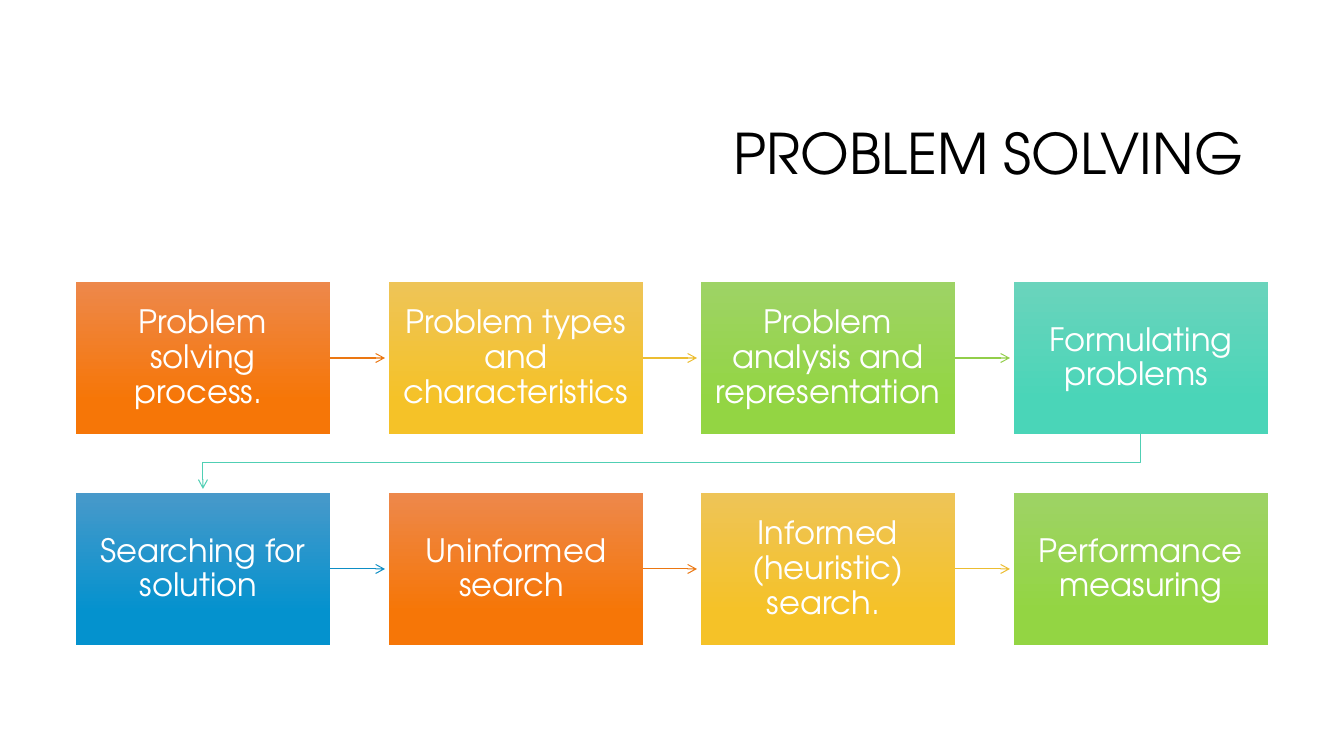
from dataclasses import dataclass
from pptx import Presentation
from pptx.dml.color import RGBColor as RGB
from pptx.enum.shapes import MSO_CONNECTOR as LINK, MSO_SHAPE as SHAPE
from pptx.enum.text import MSO_ANCHOR as ANCHOR, MSO_AUTO_SIZE as FIT, PP_ALIGN as ALIGN
from pptx.oxml.ns import qn
from pptx.util import Pt
from lxml.etree import SubElement as sub

PX = 914400 / 100.8


@dataclass(frozen=True)
class Theme:
    font: str = "TeX Gyre Adventor"
    ink: str = "000000"
    paper: str = "FFFFFF"
    head: int = 40
    body: int = 23
    rule: float = 0.75
    # Gradient top, gradient bottom, arrow
    hues: tuple = (
        ("ED884B", "F67607", "EB7712"),
        ("EEC457", "F5C228", "ECBD31"),
        ("9ED365", "93D543", "92CE4A"),
        ("6AD4BC", "4AD5B8", "50CFB4"),
        ("4899CA", "0492CE", "0D8EC5"),
    )


THEME = Theme()
TITLE = "PROBLEM SOLVING "
# A space closes each label but the last and counts in its alignment.
STEPS = (
    "Problem solving process. ",
    "Problem types and characteristics ",
    "Problem analysis and representation ",
    "Formulating problems ",
    "Searching for solution ",
    "Uninformed search ",
    "Informed (heuristic) search. ",
    "Performance measuring",
)
COLS = 4
LEFT, TOP, WIDE, HIGH = 76, 282, 254, 152
SPAN, DROP = 938, 211  # first to last column, row to row
GAP = 4  # from arrow tip to next box


def emu(*nums):
    return [round(n * PX) for n in nums]


def write(frame, text, size, color, align):
    frame.word_wrap = True
    frame.auto_size = FIT.NONE
    frame.vertical_anchor = ANCHOR.MIDDLE
    para = frame.paragraphs[0]
    para.text = text
    para.alignment = align
    para.line_spacing = 0.9
    para.font.name = THEME.font
    para.font.size = Pt(size)
    para.font.color.rgb = RGB.from_string(color)


def add_title(slide):
    title = slide.shapes.title
    title.left, title.top, title.width, title.height = emu(320, 85, 949, 142)
    write(title.text_frame, TITLE, THEME.head, THEME.ink, ALIGN.RIGHT)


def place(step):
    row, col = divmod(step, COLS)
    return LEFT + round(SPAN * col / (COLS - 1)), TOP + DROP * row


def add_box(slide, step, text, hue):
    box = slide.shapes.add_shape(SHAPE.RECTANGLE, *emu(*place(step), WIDE, HIGH))
    box.shadow.inherit = False
    box.line.fill.background()
    box.fill.gradient()
    box.fill.gradient_angle = 270
    for stop, spot, color in zip(box.fill.gradient_stops, (0, 0.78), hue):
        stop.position = spot
        stop.color.rgb = RGB.from_string(color)
    frame = box.text_frame
    frame.margin_left, frame.margin_top = emu(12, 13)
    frame.margin_right, frame.margin_bottom = emu(12, 13)
    write(frame, text, THEME.body, THEME.paper, ALIGN.CENTER)
    return box


def style(line, color):
    """Colour a line and put an open arrowhead at its end."""
    line.color.rgb = RGB.from_string(color)
    line.width = Pt(THEME.rule)
    sub(line._ln, qn("a:tailEnd"), type="arrow")


def add_arrow(slide, box, step, color):
    x, y = place(step)
    mid = y + HIGH // 2
    tip = place(step + 1)[0] - GAP
    arrow = slide.shapes.add_connector(LINK.STRAIGHT, *emu(x + WIDE, mid, tip, mid))
    arrow.begin_connect(box, 3)
    sub(arrow._element.spPr, qn("a:effectLst"))
    style(arrow.line, color)


def add_turn(slide, step, color):
    """Lead from the end of one row down to the start of the next."""
    x, y = place(step)
    end, below = place(step + 1)
    start, end = x + WIDE // 2, end + WIDE // 2
    base = y + HIGH
    mid = (base + below) // 2
    pen = slide.shapes.build_freeform(start, base, scale=PX)
    pen.add_line_segments([(start, mid), (end, mid), (end, below - GAP)], close=False)
    turn = pen.convert_to_shape()
    turn.shadow.inherit = False
    turn.fill.background()
    style(turn.line, color)


def main():
    deck = Presentation()
    deck.slide_width, deck.slide_height = emu(1344, 756)
    slide = deck.slides.add_slide(deck.slide_layouts[5])
    add_title(slide)
    last = len(STEPS) - 1
    for step, text in enumerate(STEPS):
        hue = THEME.hues[step % len(THEME.hues)]
        box = add_box(slide, step, text, hue)
        if step == last:
            continue
        if step % COLS == COLS - 1:
            add_turn(slide, step, hue[2])
        else:
            add_arrow(slide, box, step, hue[2])
    deck.save("out.pptx")


if __name__ == "__main__":
    main()
